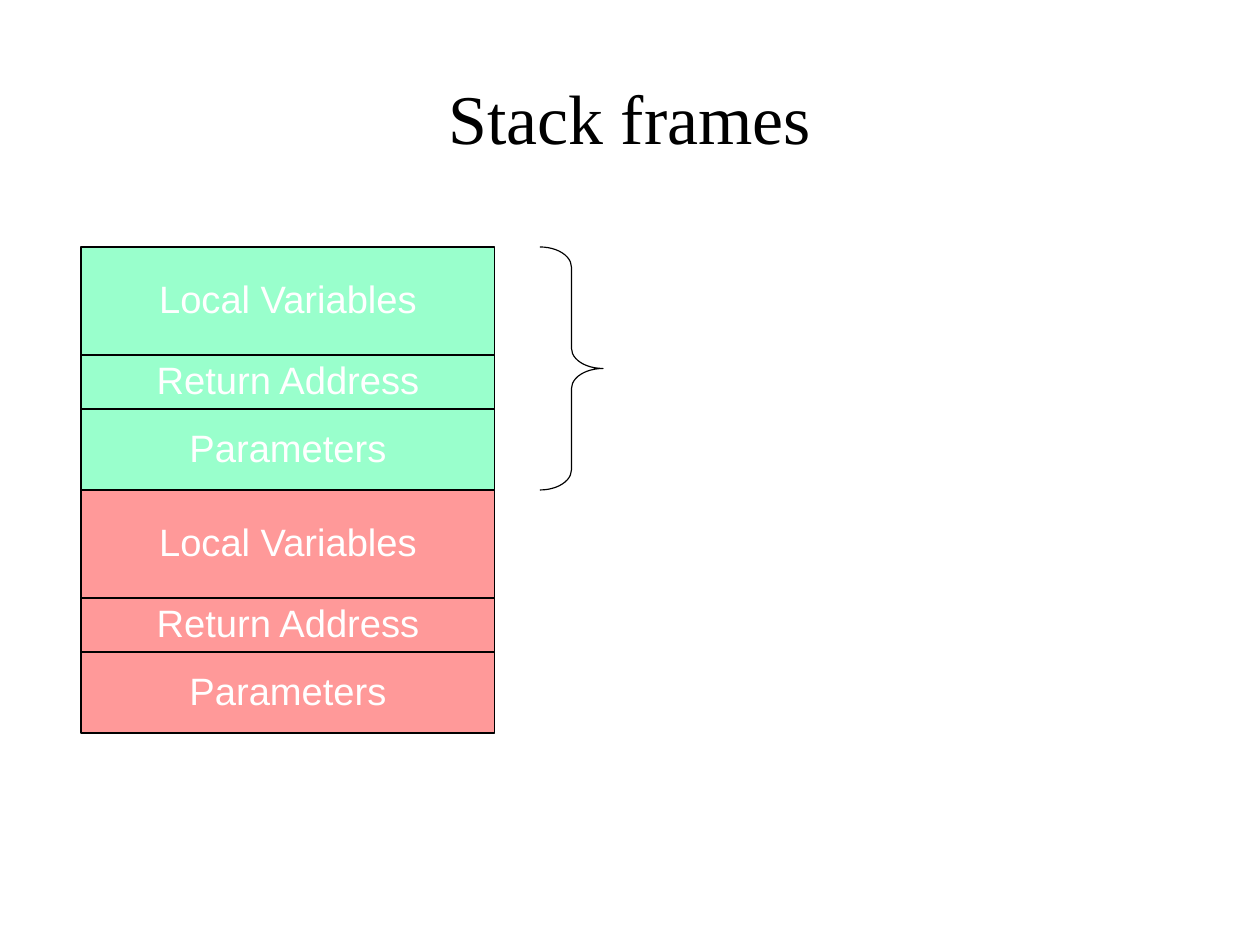
import pptx
import pptx.util
import pptx.dml.color
import pptx.enum.shapes
import pptx.enum.text

PX = 8000
BLACK = pptx.dml.color.RGBColor(0x00, 0x00, 0x00)
WHITE = pptx.dml.color.RGBColor(0xFF, 0xFF, 0xFF)
GREEN = pptx.dml.color.RGBColor(0x99, 0xFF, 0xCC)
RED = pptx.dml.color.RGBColor(0xFF, 0x99, 0x99)
FRAME_COLORS = [GREEN, RED]
FRAME_PARTS = [("Local Variables", 108), ("Return Address", 54), ("Parameters", 81)]
STACK_LEFT, STACK_TOP, STACK_WIDTH = 81, 247, 414
FRAME_HEIGHT = sum(height for label, height in FRAME_PARTS)


def add_outlined(page, kind, left, top, width, height):
    shape = page.shapes.add_shape(kind, left * PX, top * PX, width * PX, height * PX)
    shape.shadow.inherit = False
    shape.line.color.rgb = BLACK
    shape.line.width = pptx.util.Pt(0.75)
    return shape


def write_centred(box, text, font_name, size, color):
    box.text_frame.vertical_anchor = pptx.enum.text.MSO_ANCHOR.MIDDLE
    para = box.text_frame.paragraphs[0]
    para.alignment = pptx.enum.text.PP_ALIGN.CENTER
    span = para.add_run()
    span.text = text
    span.font.name = font_name
    span.font.size = pptx.util.Pt(size)
    span.font.color.rgb = color
    return para


deck = pptx.Presentation()
deck.slide_width = 1260 * PX
deck.slide_height = 945 * PX
page = deck.slides.add_slide(deck.slide_layouts[5])

title = page.shapes.title
title.left, title.top, title.width, title.height = 63 * PX, 38 * PX, 1134 * PX, 158 * PX
frame = title.text_frame
frame.margin_left = frame.margin_top = frame.margin_right = frame.margin_bottom = 0
write_centred(title, "Stack frames", "Times New Roman", 44, BLACK)

top = STACK_TOP
for color in FRAME_COLORS:
    for label, height in FRAME_PARTS:
        box = add_outlined(page, pptx.enum.shapes.MSO_SHAPE.RECTANGLE,
                           STACK_LEFT, top, STACK_WIDTH, height)
        box.fill.solid()
        box.fill.fore_color.rgb = color
        box.text_frame.word_wrap = False
        para = write_centred(box, label, "Arial", 24, WHITE)
        para.line_spacing = 0.94
        top += height

brace = add_outlined(page, pptx.enum.shapes.MSO_SHAPE.RIGHT_BRACE,
                     540, STACK_TOP, 63, FRAME_HEIGHT)
brace.fill.background()
brace.adjustments[0] = 0.32

deck.save("out.pptx")
